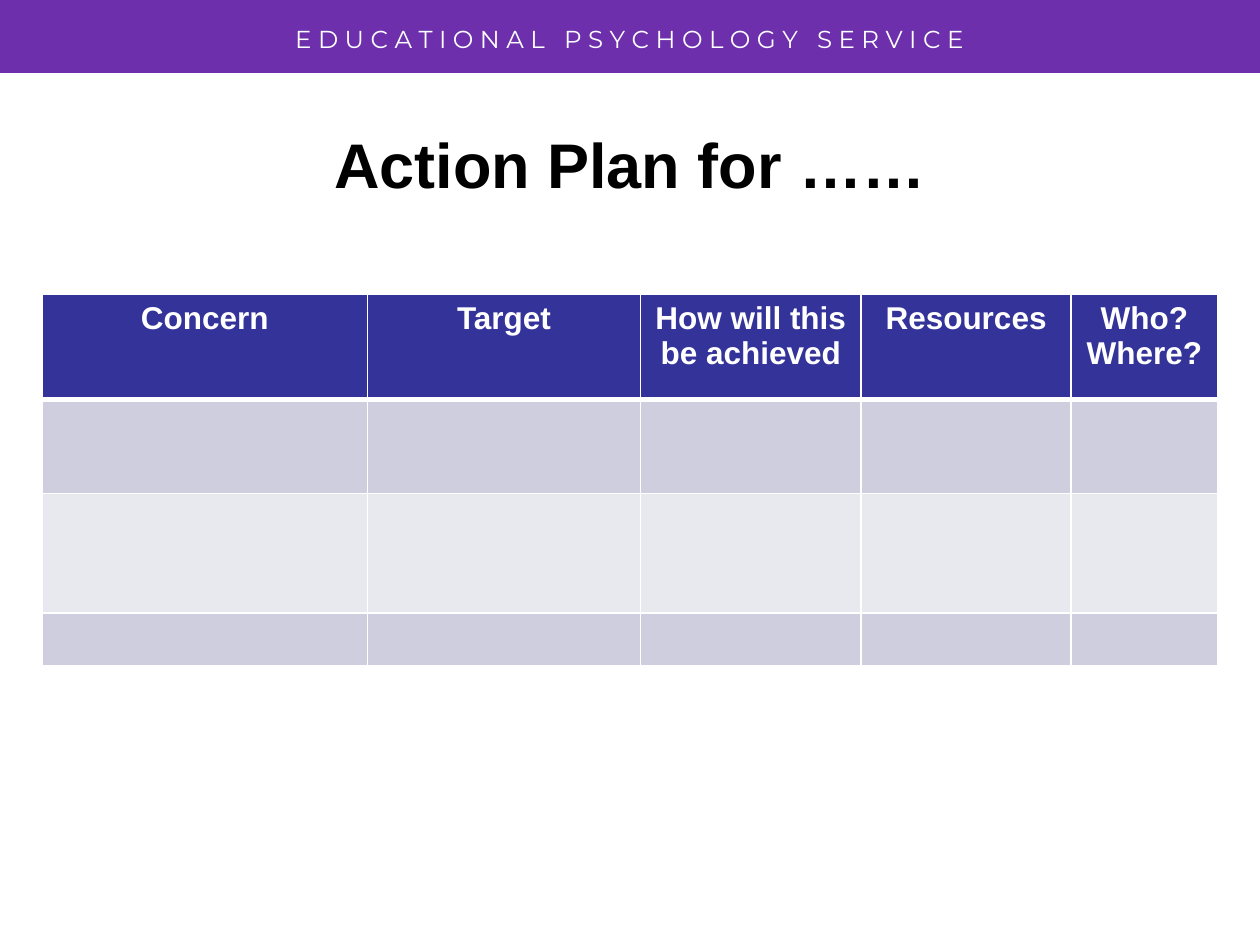
from dataclasses import dataclass

from lxml.etree import SubElement
from pptx import Presentation
from pptx.dml.color import RGBColor as RGB
from pptx.enum.shapes import MSO_SHAPE as Shape
from pptx.enum.text import MSO_ANCHOR as Anchor, PP_ALIGN as Align
from pptx.oxml.ns import qn
from pptx.util import Cm, Pt


@dataclass(frozen=True)
class Theme:
    banner: str = "6D2FAB"
    header: str = "333399"
    bands: tuple = ("CECEDE", "E8E8EF")
    light: str = "FFFFFF"
    dark: str = "000000"
    body_font: str = "Arial"
    banner_font: str = "Montserrat"
    banner_size: int = 14
    title_size: int = 36
    table_size: int = 18
    thin: int = 1
    thick: int = 3


class SlideBuilder:
    def __init__(self, slide, theme):
        self.s = slide
        self.theme = theme

    def bar(self, x, y, w, h, color):
        sp = self.s.shapes.add_shape(Shape.RECTANGLE, Cm(x), Cm(y), Cm(w), Cm(h))
        sp.shadow.inherit = False
        sp.fill.solid()
        sp.fill.fore_color.rgb = RGB.from_string(color)
        sp.line.fill.background()

    def add_run(self, tf, text, size, color, font, bold=False):
        p = tf.paragraphs[0]
        p.alignment = Align.CENTER
        r = p.add_run()
        r.text = text
        r.font.name = font
        r.font.size = Pt(size)
        r.font.bold = bold
        r.font.color.rgb = RGB.from_string(color)

    def text(self, x, y, w, h, text, size, color, font, bold=False, anchor=Anchor.TOP):
        tf = self.s.shapes.add_textbox(Cm(x), Cm(y), Cm(w), Cm(h)).text_frame
        tf.word_wrap = True
        tf.vertical_anchor = anchor
        self.add_run(tf, text, size, color, font, bold)

    def border(self, cell, side, width):
        tc_pr = cell._tc.get_or_add_tcPr()
        ln = SubElement(tc_pr, qn(f"a:ln{side}"), w=str(Pt(width)))
        fill = SubElement(ln, qn("a:solidFill"))
        SubElement(fill, qn("a:srgbClr"), val=self.theme.light)

    def table(self, x, y, widths, heights, headings):
        t = self.theme
        table = self.s.shapes.add_table(
            len(heights), len(widths), Cm(x), Cm(y), Cm(sum(widths)), Cm(sum(heights))
        ).table
        for column, width in zip(table.columns, widths):
            column.width = Cm(width)
        for i, (row, height) in enumerate(zip(table.rows, heights)):
            row.height = Cm(height)
            color = t.bands[(i - 1) % 2] if i else t.header
            # The rule below the header is shared by rows 0 and 1
            edges = {"L": t.thin, "R": t.thin,
                     "T": t.thick if i == 1 else t.thin,
                     "B": t.thick if i == 0 else t.thin}
            for cell in row.cells:
                for side, width in edges.items():
                    self.border(cell, side, width)
                cell.fill.solid()
                cell.fill.fore_color.rgb = RGB.from_string(color)
        for cell, heading in zip(table.rows[0].cells, headings):
            self.add_run(cell.text_frame, heading, t.table_size, t.light, t.body_font, True)


def main():
    prs = Presentation()
    prs.slide_width, prs.slide_height = Cm(25.4), Cm(19.05)
    theme = Theme()
    page = SlideBuilder(prs.slides.add_slide(prs.slide_layouts[6]), theme)

    # Banner with letter-spaced service name
    page.bar(0, 0, 25.4, 1.47, theme.banner)
    page.text(0, 0.36, 25.4, 0.84, " ".join("EDUCATIONAL PSYCHOLOGY SERVICE"),
              theme.banner_size, theme.light, theme.banner_font)

    # Title
    page.text(1.27, 1.7, 22.86, 3.18, "Action Plan for ……",
              theme.title_size, theme.dark, theme.body_font, True, Anchor.MIDDLE)

    # Action plan table
    page.table(0.85, 5.93, (6.56, 5.5, 4.45, 4.23, 2.96), (2.12, 1.9, 2.41, 1.06),
               ("Concern", "Target", "How will this be achieved", "Resources", "Who? Where?"))

    prs.save("out.pptx")


if __name__ == "__main__":
    main()
